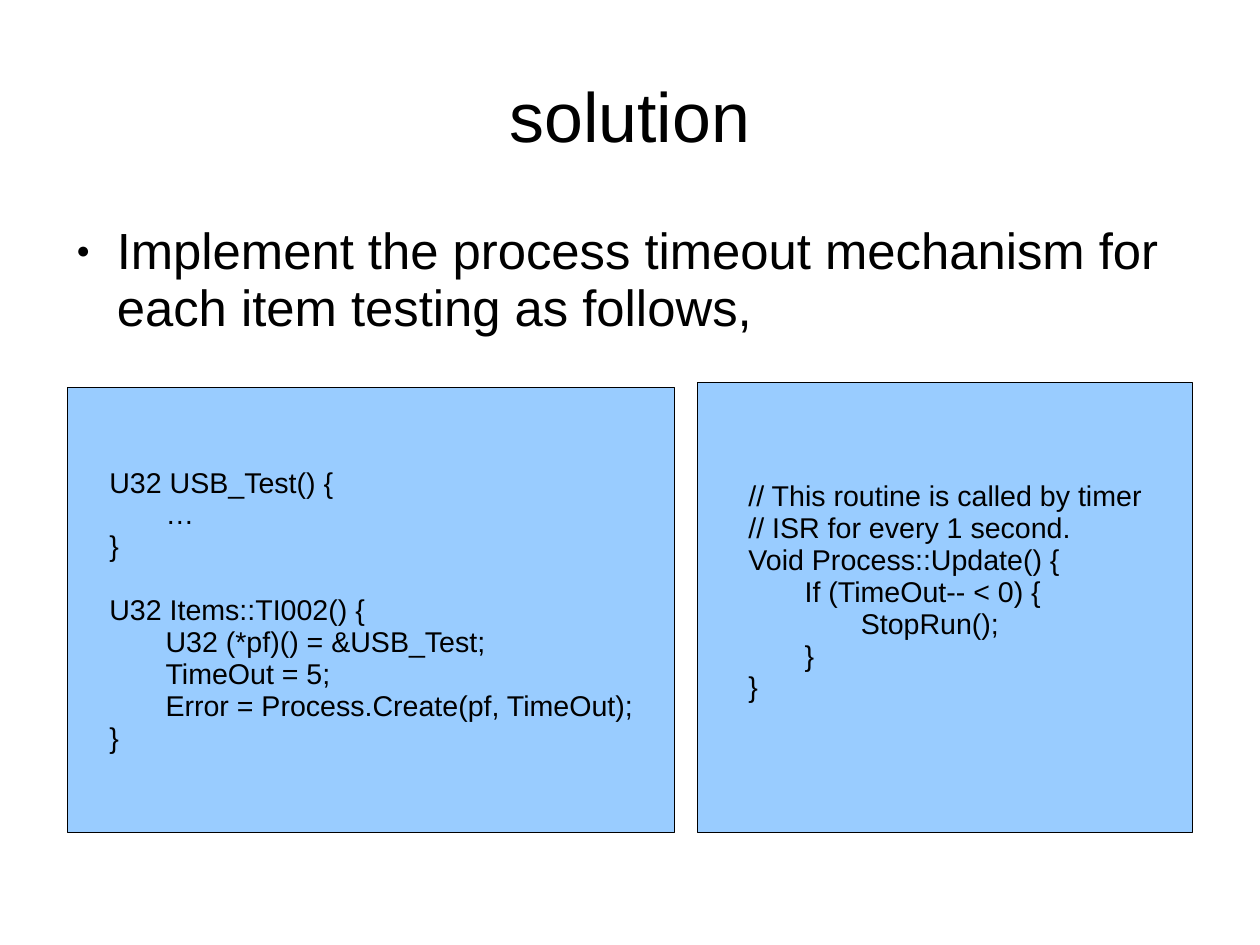
"""Build the slide on the process timeout solution with two code panels."""
from lxml import etree
from pptx import Presentation
from pptx.dml.color import RGBColor
from pptx.enum.shapes import MSO_SHAPE
from pptx.enum.text import MSO_ANCHOR, MSO_AUTO_SIZE, PP_ALIGN
from pptx.oxml.ns import qn
from pptx.util import Pt

RECTANGLE = MSO_SHAPE.RECTANGLE
MIDDLE, TOP = MSO_ANCHOR.MIDDLE, MSO_ANCHOR.TOP
CENTER, LEFT = PP_ALIGN.CENTER, PP_ALIGN.LEFT
NO_FIT = MSO_AUTO_SIZE.NONE
COLORS = {"text": "000000", "panel": "99CCFF", "line": "000000"}
FONT = "Arial"
TAB = 35.4
CODE_LINE = 20

PANELS = [
    (42.5, 244.1, 382.3, 280.3, 26.4, 3.6, [
        "U32 USB_Test() {",
        "\t…",
        "}",
        "",
        "U32 Items::TI002() {",
        "\tU32 (*pf)() = &USB_Test;",
        "\tTimeOut = 5;",
        "\tError = Process.Create(pf, TimeOut);",
        "}",
    ]),
    (439.2, 241, 311.8, 283.4, 32.3, 3.6 + CODE_LINE, [
        "// This routine is called by timer",
        "// ISR for every 1 second.",
        "Void Process::Update() {",
        "\tIf (TimeOut-- < 0) {",
        "\t\tStopRun();",
        "\t}",
        "}",
    ]),
]


def set_frame(tf, anchor, insets, wrap):
    tf.auto_size = NO_FIT
    tf.word_wrap = wrap
    tf.vertical_anchor = anchor
    tf.margin_left, tf.margin_top, tf.margin_right, tf.margin_bottom = map(Pt, insets)


def write(p, text, size, align):
    p.alignment = align
    p.line_spacing = 0.93
    r = p.add_run()
    r.text = text
    r.font.name = FONT
    r.font.size = Pt(size)
    r.font.color.rgb = RGBColor.from_string(COLORS["text"])


prs = Presentation()
prs.slide_width, prs.slide_height = Pt(793.7), Pt(595.3)
s = prs.slides.add_slide(prs.slide_layouts[5])

title = s.shapes.title
title.left, title.top, title.width, title.height = Pt(39.6), Pt(23.8), Pt(714.2), Pt(99.4)
set_frame(title.text_frame, MIDDLE, (0, 2.8, 0, 0), True)
write(title.text_frame.paragraphs[0], "solution", 44, CENTER)

body = s.shapes.add_textbox(Pt(39.6), Pt(139), Pt(714.2), Pt(393))
set_frame(body.text_frame, TOP, (0, 2.4, 0, 0), True)
p = body.text_frame.paragraphs[0]
write(p, "Implement the process timeout mechanism for each item testing as follows,", 32, LEFT)
p.space_after = Pt(14.3)
pPr = p._p.get_or_add_pPr()
pPr.set("marL", str(Pt(34)))
pPr.set("indent", str(-Pt(25.5)))
etree.SubElement(pPr, qn("a:buSzPct"), val="45000")
etree.SubElement(pPr, qn("a:buFont"), typeface=FONT)
etree.SubElement(pPr, qn("a:buChar"), char="●")

for left, top, width, height, left_inset, bottom_inset, lines in PANELS:
    sp = s.shapes.add_shape(RECTANGLE, Pt(left), Pt(top), Pt(width), Pt(height))
    sp.shadow.inherit = False
    sp.fill.solid()
    sp.fill.fore_color.rgb = RGBColor.from_string(COLORS["panel"])
    sp.line.color.rgb = RGBColor.from_string(COLORS["line"])
    sp.line.width = Pt(0.75)
    tf = sp.text_frame
    set_frame(tf, MIDDLE, (left_inset, 5, 7.2, bottom_inset), True)
    for i, line in enumerate(lines):
        if not line:
            continue
        p = tf.paragraphs[0] if i == 0 else tf.add_paragraph()
        write(p, line, 18, LEFT)
        if i and not lines[i - 1]:
            p.space_before = Pt(CODE_LINE)
        tabs = etree.SubElement(p._p.get_or_add_pPr(), qn("a:tabLst"))
        for n in (1, 2):
            etree.SubElement(tabs, qn("a:tab"), pos=str(Pt(n * TAB)), algn="l")

prs.save("out.pptx")
